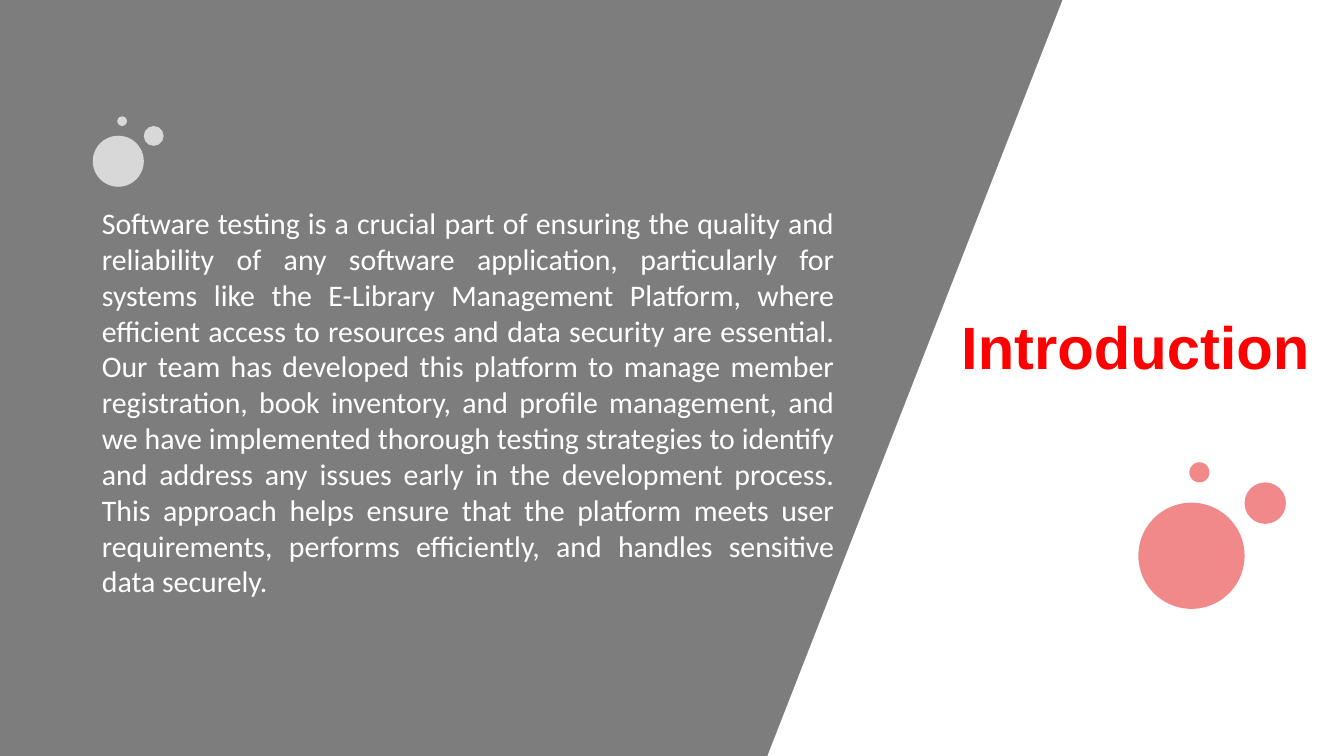
import pptx
import pptx.dml.color
import pptx.enum.shapes
import pptx.enum.text
import pptx.oxml
import pptx.oxml.ns
import pptx.util
from pptx.util import Inches

WIDTH = 10
HEIGHT = WIDTH * 9 / 16
SHAPES = pptx.enum.shapes.MSO_SHAPE
ALIGN = pptx.enum.text.PP_ALIGN
AUTO_SIZE = pptx.enum.text.MSO_AUTO_SIZE

# Bubble offsets and diameters, relative to the largest bubble
BUBBLES = [(0, 0, 1), (1, -0.19, 0.39), (0.48, -0.38, 0.19)]

INTRODUCTION = (
    "Software testing is a crucial part of ensuring the quality and reliability "
    "of any software application, particularly for systems like the E-Library "
    "Management Platform, where efficient access to resources and data security "
    "are essential. Our team has developed this platform to manage member "
    "registration, book inventory, and profile management, and we have "
    "implemented thorough testing strategies to identify and address any issues "
    "early in the development process. This approach helps ensure that the "
    "platform meets user requirements, performs efficiently, and handles "
    "sensitive data securely."
)


def color(hex_string):
    return pptx.dml.color.RGBColor.from_string(hex_string)


def paint(shape, fill, opacity=100):
    """Give a shape a plain fill without outline or shadow."""
    shape.shadow.inherit = False
    shape.line.fill.background()
    shape.fill.solid()
    shape.fill.fore_color.rgb = color(fill)
    if opacity < 100:
        tone = shape.fill._xPr.find(".//" + pptx.oxml.ns.qn("a:srgbClr"))
        alpha = pptx.oxml.parse_xml(
            f'<a:alpha {pptx.oxml.ns.nsdecls("a")} val="{opacity * 1000}"/>')
        tone.append(alpha)


def add_panel(page, points, fill):
    start, *others = [(Inches(x), Inches(y)) for x, y in points]
    builder = page.shapes.build_freeform(*start)
    builder.add_line_segments(others, close=True)
    paint(builder.convert_to_shape(), fill)


def add_bubbles(page, left, top, size, fill, opacity):
    group = page.shapes.add_group_shape()
    for across, down, ratio in BUBBLES:
        diameter = Inches(size * ratio)
        bubble = group.shapes.add_shape(
            SHAPES.OVAL, Inches(left + across * size),
            Inches(top + down * size), diameter, diameter)
        paint(bubble, fill, opacity)


def add_text(page, text, left, top, width, height, font, size, fill,
             align, bold=False, auto_size=AUTO_SIZE.NONE):
    box = page.shapes.add_textbox(
        Inches(left), Inches(top), Inches(width), Inches(height))
    frame = box.text_frame
    frame.word_wrap = True
    frame.auto_size = auto_size
    frame.vertical_anchor = pptx.enum.text.MSO_ANCHOR.MIDDLE
    para = frame.paragraphs[0]
    para.text = text
    para.alignment = align
    para.font.name = font
    para.font.size = pptx.util.Pt(size)
    para.font.bold = bold
    para.font.color.rgb = color(fill)


def main():
    deck = pptx.Presentation()
    deck.slide_width, deck.slide_height = Inches(WIDTH), Inches(HEIGHT)
    page = deck.slides.add_slide(deck.slide_layouts[6])

    # Grey backdrop with a slanted white panel on the right
    backdrop = page.shapes.add_shape(
        SHAPES.RECTANGLE, 0, 0, Inches(WIDTH), Inches(HEIGHT))
    paint(backdrop, "404040", 68)
    add_panel(page, [(7.91, -0.01), (WIDTH, 0), (WIDTH, HEIGHT),
                     (5.71, HEIGHT)], "FFFFFF")

    # Title
    add_text(page, "Introduction", 6.62, 2.26, 3.66, 0.63,
             "Arial", 32, "FF0000", ALIGN.CENTER, bold=True)

    # Bubble clusters
    add_bubbles(page, 8.47, 3.74, 0.79, "EB494B", 65)
    add_bubbles(page, 0.69, 1.01, 0.38, "FFFFFF", 70)

    # Body text
    add_text(page, INTRODUCTION, 0.66, 1.49, 5.65, 3,
             "Calibri", 16, "FFFFFF", ALIGN.JUSTIFY,
             auto_size=AUTO_SIZE.SHAPE_TO_FIT_TEXT)

    deck.save("out.pptx")


if __name__ == "__main__":
    main()
